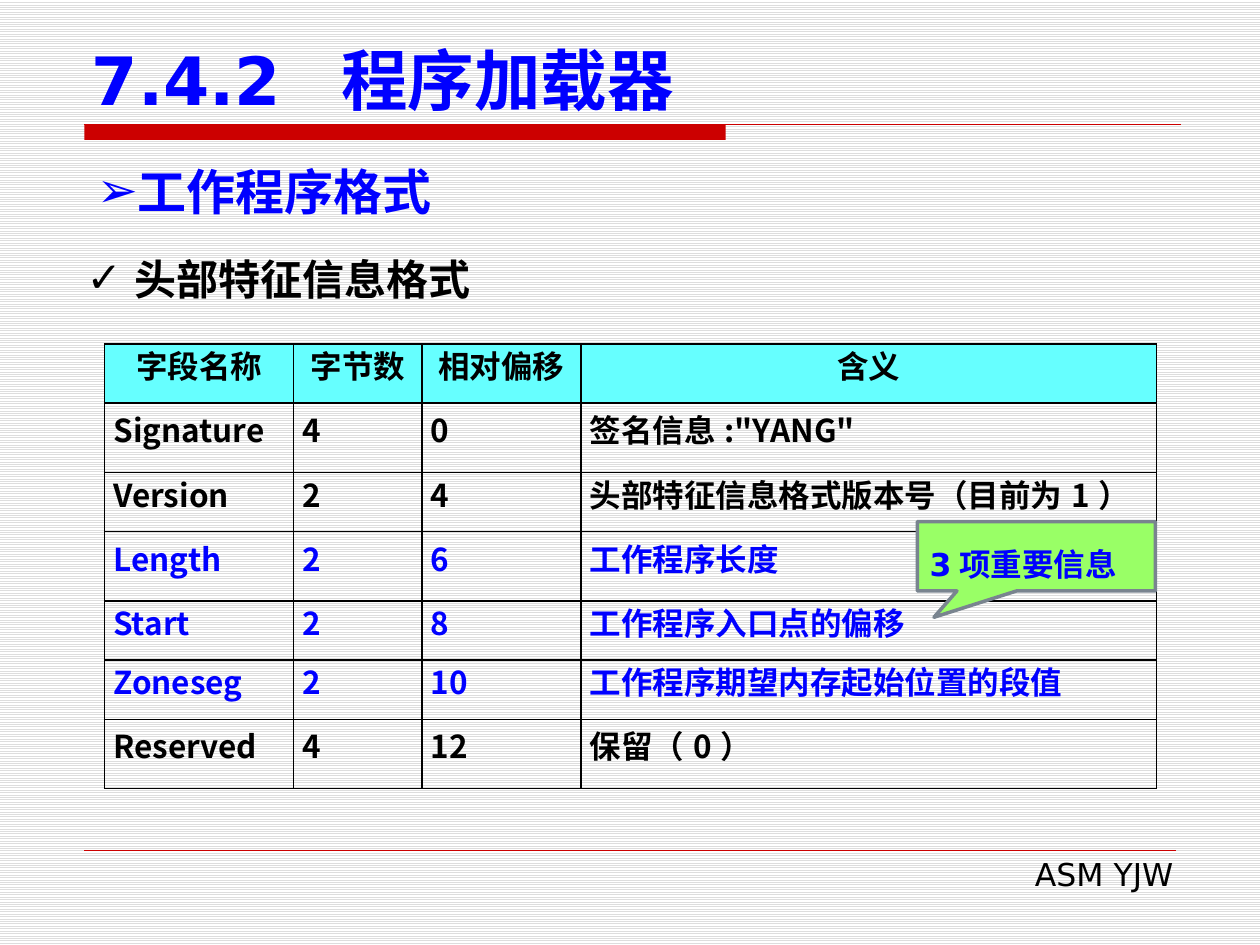
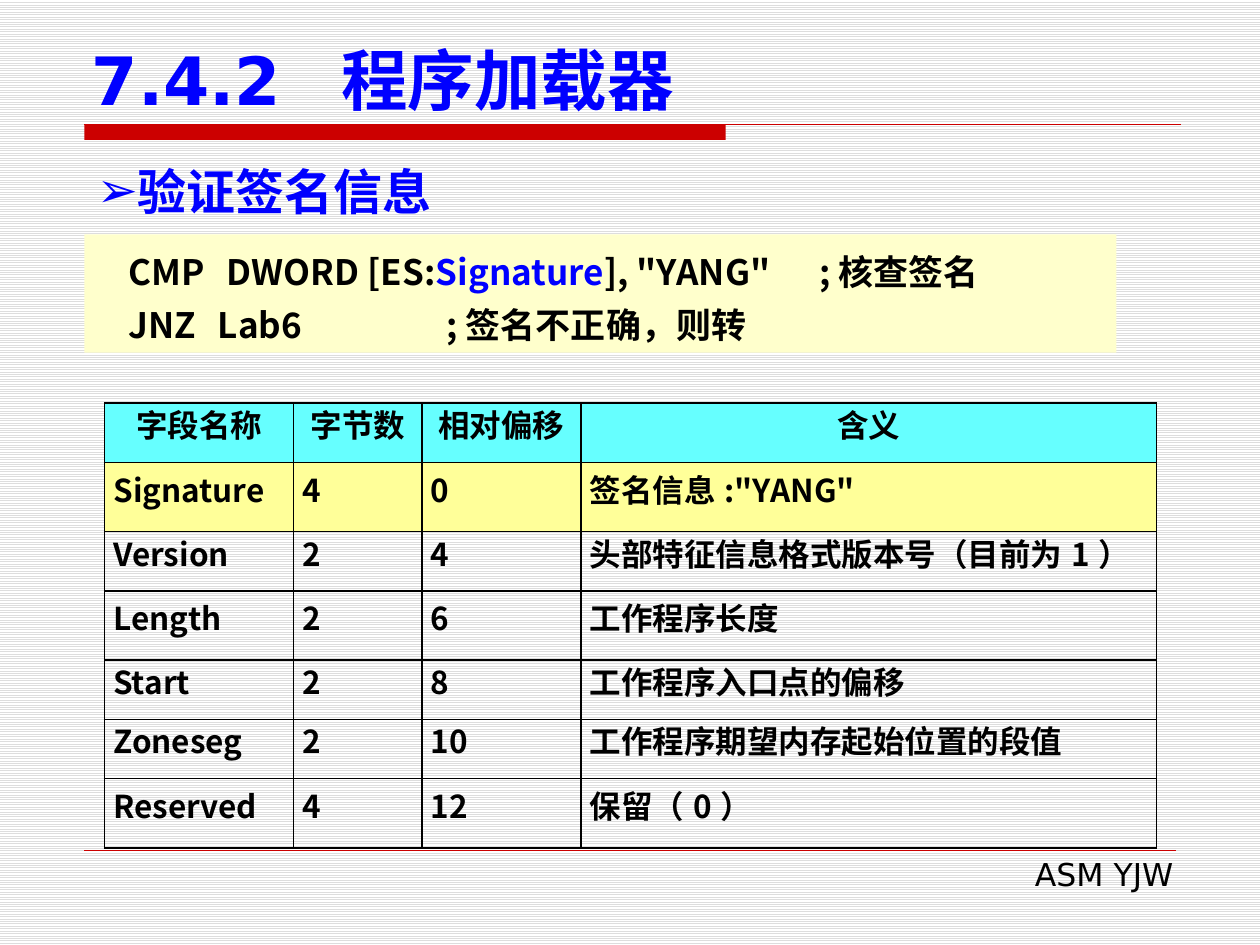
from lxml import etree
from pptx import Presentation
from pptx.dml.color import RGBColor
from pptx.enum.dml import MSO_PATTERN
from pptx.enum.shapes import MSO_CONNECTOR, MSO_SHAPE
from pptx.enum.text import MSO_ANCHOR as Anchor, PP_ALIGN as Align
from pptx.oxml.ns import qn
from pptx.util import Inches, Pt

BLUE = RGBColor(0x00, 0x00, 0xFF)
BLACK = RGBColor(0x00, 0x00, 0x00)
WHITE = RGBColor(0xFF, 0xFF, 0xFF)
STRIPE = RGBColor(0xDD, 0xDD, 0xDD)
RED = RGBColor(0xCC, 0x00, 0x00)
CYAN = RGBColor(0x66, 0xFF, 0xFF)
YELLOW = RGBColor(0xFF, 0xFF, 0x99)
CREAM = RGBColor(0xFF, 0xFF, 0xCC)
GREEN = RGBColor(0x99, 0xFF, 0x66)
GRAY = RGBColor(0x79, 0x84, 0x8F)

SANS, CJK = "DejaVu Sans", "Noto Sans CJK SC"
TITLE = dict(name=SANS, size=Pt(38), bold=True)
HEADING = dict(name=SANS, size=Pt(28), bold=True)
SUBHEADING = dict(name=CJK, size=Pt(24), bold=True)
CODE = dict(name=CJK, size=Pt(20), bold=True)
CELL = dict(name=CJK, size=Pt(18), bold=True)
CALLOUT = dict(name=SANS, size=Pt(18), bold=True)
FOOTER = dict(name=SANS, size=Pt(18), bold=False)

HEADER = ["字段名称", "字节数", "相对偏移", "含义"]
FIELDS = [
    ["Signature", "4", "0", "签名信息:\"YANG\""],
    ["Version", "2", "4", "头部特征信息格式版本号（目前为1）"],
    ["Length", "2", "6", "工作程序长度"],
    ["Start", "2", "8", "工作程序入口点的偏移"],
    ["Zoneseg", "2", "10", "工作程序期望内存起始位置的段值"],
    ["Reserved", "4", "12", "保留（0）"],
]
KEY_FIELDS = {"Length", "Start", "Zoneseg"}
COLUMN_WIDTHS = [15, 10.2, 12.6, 45.7]
SHORT, TALL = 4.7, 5.5
ROW_HEIGHTS = [SHORT, TALL, SHORT, TALL, SHORT, SHORT, TALL]

presentation = Presentation()
presentation.slide_width, presentation.slide_height = Inches(10), Inches(7.5)
# The slide is a grid of 100 columns by 75 rows
column = presentation.slide_width / 100
row = presentation.slide_height / 75


def grid(left, top, width, height):
    return [int(left * column), int(top * row), int(width * column), int(height * row)]


def write(paragraph, runs, style, align=None, spacing=None, before=None,
          bullet=None, hanging=0, tabs=()):
    """Fill a paragraph with (text, colour) runs and set its layout."""
    paragraph.alignment = align
    if spacing:
        paragraph.line_spacing = Pt(spacing)
    for text, color in runs:
        run = paragraph.add_run()
        run.text = text
        for name, value in style.items():
            setattr(run.font, name, value)
        run.font.color.rgb = color
        etree.SubElement(run.font._element, qn("a:ea"), typeface=style["name"])
    properties = paragraph._p.get_or_add_pPr()
    if before:
        space = etree.SubElement(properties, qn("a:spcBef"))
        etree.SubElement(space, qn("a:spcPct"), val=str(before * 1000))
    if bullet:
        properties.set("marL", str(int(hanging * column)))
        properties.set("indent", str(int(-hanging * column)))
        etree.SubElement(properties, qn("a:buFont"), typeface=SANS)
        etree.SubElement(properties, qn("a:buChar"), char=bullet)
    if tabs:
        stops = etree.SubElement(properties, qn("a:tabLst"))
        for stop in tabs:
            etree.SubElement(stops, qn("a:tab"), pos=str(int(stop * column)), algn="l")


pages = [
    dict(heading="工作程序格式", table_top=27.3, key_color=BLUE, signature_fill=None),
    dict(heading="验证签名信息", table_top=32, key_color=BLACK, signature_fill=YELLOW),
]
slides = []
for page in pages:
    slide = presentation.slides.add_slide(presentation.slide_layouts[6])
    slides.append(slide)
    shapes = slide.shapes

    # Striped background
    background = slide.background.fill
    background.patterned()
    background.pattern = MSO_PATTERN.LIGHT_HORIZONTAL
    background.fore_color.rgb, background.back_color.rgb = STRIPE, WHITE

    # Red band, title rule and footer rule
    band = shapes.add_shape(MSO_SHAPE.RECTANGLE, *grid(6.7, 9.9, 50.9, 1.2))
    band.shadow.inherit = False
    band.fill.solid()
    band.fill.fore_color.rgb = RED
    band.line.fill.background()
    for top, right, weight in [(9.9, 93.7, 0.75), (67.5, 93.3, 0.25)]:
        left, y, end, _ = grid(6.7, top, right, 0)
        rule = shapes.add_connector(MSO_CONNECTOR.STRAIGHT, left, y, end, y)
        rule.line.color.rgb = RED
        rule.line.width = Pt(weight)
        etree.SubElement(rule._element.spPr, qn("a:effectLst"))

    # Footer, heading and title
    texts = [
        (grid(38.2, 67.4, 55.9, 4), "ASM YJW", BLACK, FOOTER,
         dict(align=Align.RIGHT, before=50)),
        (grid(6.7, 12.3, 86.6, 5.7), page["heading"], BLUE, HEADING,
         dict(align=Align.JUSTIFY, before=50, bullet="➢")),
        (grid(6.3, 3.3, 87.5, 6.6), "7.4.2\t程序加载器", BLUE, TITLE, dict(tabs=[19.8])),
    ]
    for place, text, color, style, layout in texts:
        frame = shapes.add_textbox(*place).text_frame
        frame.word_wrap = True
        frame.vertical_anchor = Anchor.BOTTOM if style is TITLE else Anchor.TOP
        write(frame.paragraphs[0], [(text, color)], style, **layout)

    # Field table
    place = grid(8.3, page["table_top"], sum(COLUMN_WIDTHS), sum(ROW_HEIGHTS))
    table = shapes.add_table(len(ROW_HEIGHTS), len(COLUMN_WIDTHS), *place).table
    table.first_row = table.horz_banding = False
    for table_column, width in zip(table.columns, COLUMN_WIDTHS):
        table_column.width = int(width * column)
    for table_row, height, values in zip(table.rows, ROW_HEIGHTS, [HEADER] + FIELDS):
        table_row.height = int(height * row)
        is_header = values is HEADER
        fill = CYAN if is_header else None
        if values[0] == "Signature":
            fill = page["signature_fill"]
        color = page["key_color"] if values[0] in KEY_FIELDS else BLACK
        for cell, value in zip(table_row.cells, values):
            cell.vertical_anchor = Anchor.MIDDLE
            cell.margin_left = cell.margin_right = int(0.7 * column)
            cell.margin_top = cell.margin_bottom = 0
            write(cell.text_frame.paragraphs[0], [(value, color)], CELL,
                  align=Align.CENTER if is_header else Align.JUSTIFY, spacing=16)
            cell_properties = cell._tc.get_or_add_tcPr()
            for side in ("a:lnL", "a:lnR", "a:lnT", "a:lnB"):
                border = etree.SubElement(cell_properties, qn(side), w=str(Pt(1)))
                border_fill = etree.SubElement(border, qn("a:solidFill"))
                etree.SubElement(border_fill, qn("a:srgbClr"), val=str(BLACK))
            if fill is None:
                cell.fill.background()
            else:
                cell.fill.solid()
                cell.fill.fore_color.rgb = fill

format_slide, check_slide = slides

# Slide 1: subheading
frame = format_slide.shapes.add_textbox(*grid(5.9, 18.6, 86.6, 5.4)).text_frame
frame.word_wrap = True
write(frame.paragraphs[0], [("头部特征信息格式", BLACK)], SUBHEADING,
      spacing=36, bullet="✓", hanging=3.8)

# Slide 1: callout on the key fields
callout = format_slide.shapes.add_shape(
    MSO_SHAPE.RECTANGULAR_CALLOUT, *grid(72.8, 41.4, 18.9, 5.5))
callout.adjustments[0], callout.adjustments[1] = -0.43, 0.88
callout.shadow.inherit = False
callout.fill.solid()
callout.fill.fore_color.rgb = GREEN
callout.line.color.rgb = GRAY
callout.line.width = Pt(2)
callout.text_frame.word_wrap = True
callout.text_frame.vertical_anchor = Anchor.MIDDLE
write(callout.text_frame.paragraphs[0], [("3项重要信息", BLUE)], CALLOUT,
      align=Align.LEFT, spacing=30)

# Slide 2: code panel
panel = check_slide.shapes.add_shape(MSO_SHAPE.RECTANGLE, *grid(6.7, 18.6, 81.9, 9.4))
panel.shadow.inherit = False
panel.fill.solid()
panel.fill.fore_color.rgb = CREAM
panel.line.fill.background()
frame = panel.text_frame
frame.word_wrap = True
frame.vertical_anchor = Anchor.TOP
frame.margin_left = int(3.5 * column)
code_lines = [
    ([("CMP\tDWORD [ES:", BLACK), ("Signature", BLUE),
      ("], \"YANG\"\t;核查签名", BLACK)], [7.8, 54.8]),
    ([("JNZ\tLab6\t;签名不正确，则转", BLACK)], [7.1, 25.2]),
]
for index, (runs, tabs) in enumerate(code_lines):
    paragraph = frame.add_paragraph() if index else frame.paragraphs[0]
    write(paragraph, runs, CODE, align=Align.LEFT, spacing=30, tabs=tabs)

presentation.save("out.pptx")
